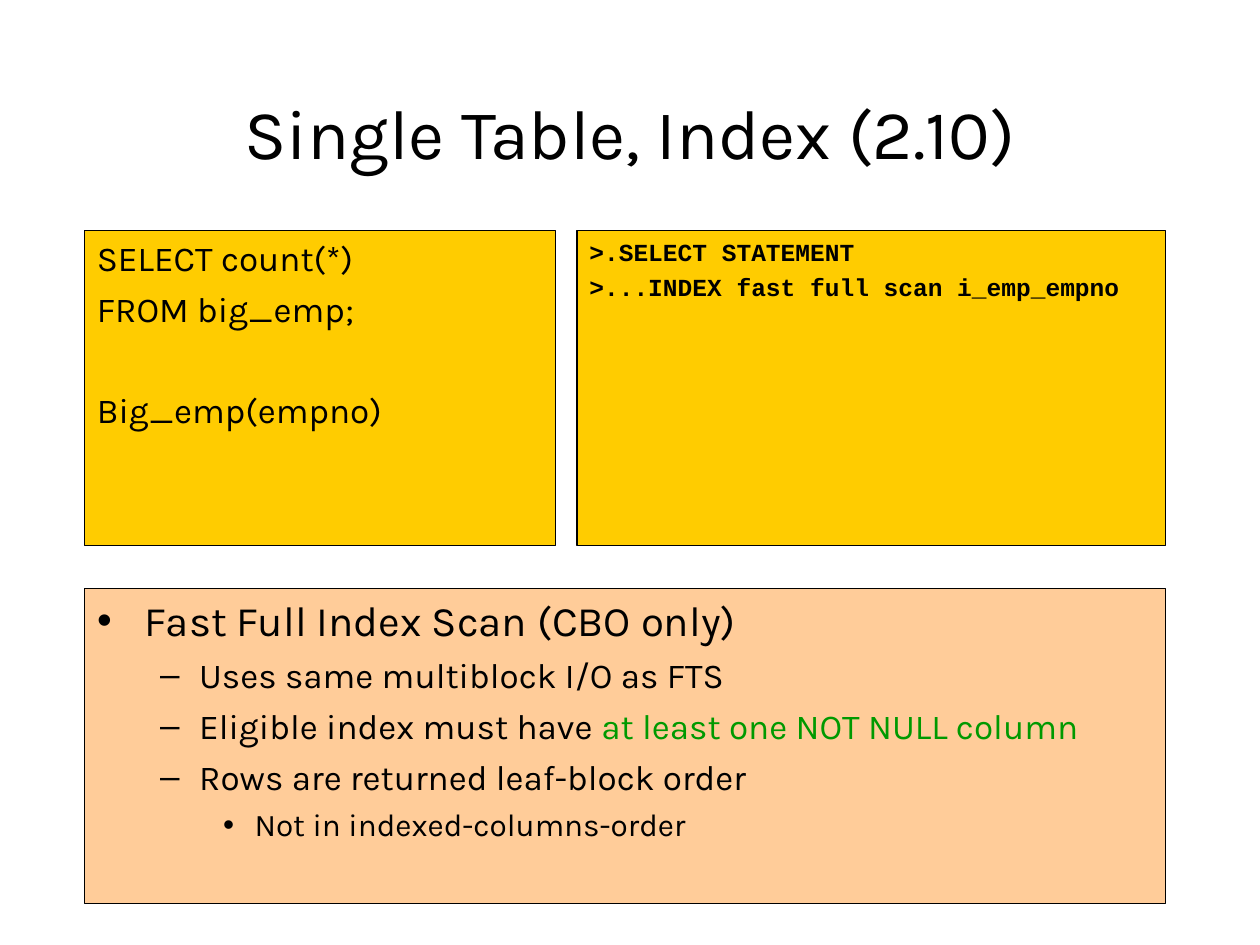
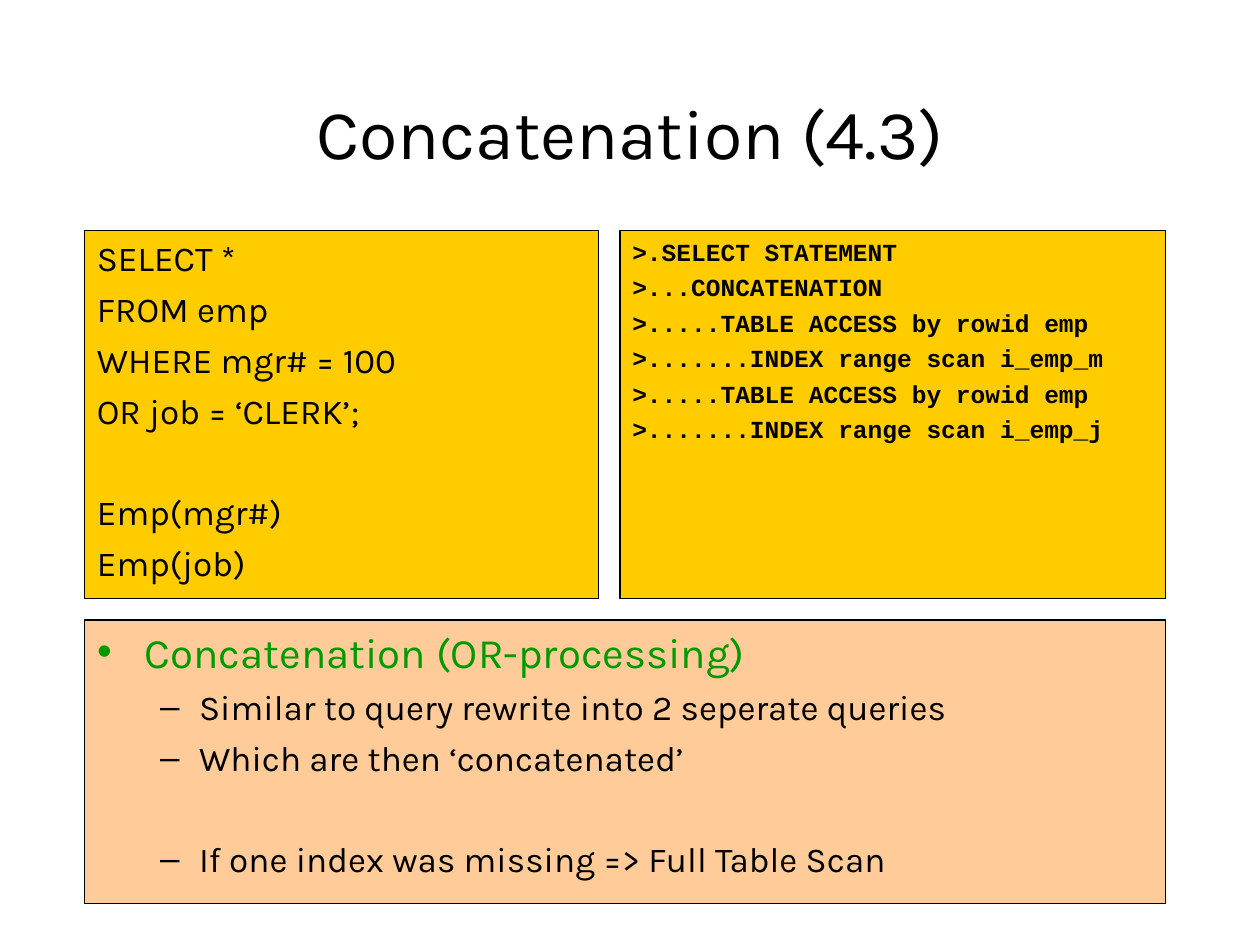
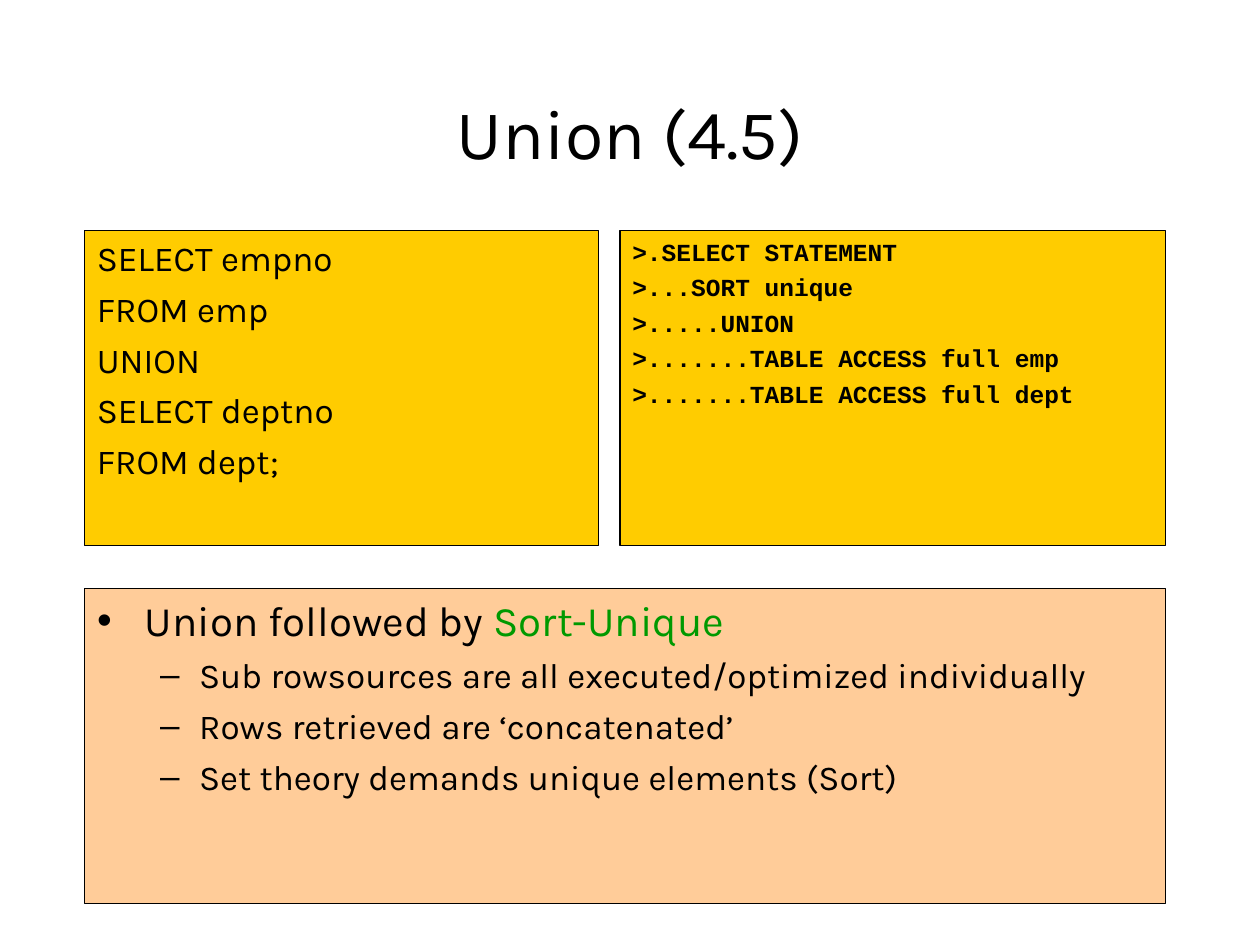
from dataclasses import dataclass

from lxml import etree
from pptx import Presentation
from pptx.dml.color import RGBColor
from pptx.enum.shapes import MSO_SHAPE
from pptx.enum.text import MSO_ANCHOR, MSO_AUTO_SIZE, PP_ALIGN
from pptx.oxml.ns import qn
from pptx.util import Inches, Pt

RECT = MSO_SHAPE.RECTANGLE
TOP, MIDDLE = MSO_ANCHOR.TOP, MSO_ANCHOR.MIDDLE
LEFT, CENTER = PP_ALIGN.LEFT, PP_ALIGN.CENTER
FIXED = MSO_AUTO_SIZE.NONE

EDGE, RIGHT, GAP = 0.67, 9.25, 0.17
HEAD, FOOT = 1.83, 7.17


@dataclass(frozen=True)
class Level:
    """Type size, spacing and indents of one kind of line."""
    size: float
    space: float = 0
    margin: float = 0.38
    hang: float = 0.38
    mark: str = ""
    font: str = "Karla"
    bold: bool = False
    skip: float = 29


@dataclass(frozen=True)
class Theme:
    """Colours and type of the deck."""
    ink: str = "000000"
    accent: str = "009900"
    gold: str = "FFCC00"
    peach: str = "FFCC99"
    title: Level = Level(40, margin=0, hang=0)
    query: Level = Level(20, 5)
    plan: Level = Level(14, 3.5, font="Courier New", bold=True)
    points: tuple = (
        Level(24, 6, mark="•"),
        Level(20, 5, 0.81, 0.31, "–"),
        Level(18, 4.5, 1.25, 0.25, "•"),
    )


def put(item, values):
    """Set each named value on an item."""
    for name, value in values.items():
        setattr(item, name, value)


class Deck:
    """Builds slides in one style."""

    def __init__(self, theme):
        """Start an empty deck."""
        self.theme = theme
        self.show = Presentation()
        put(self.show, {"slide_width": Inches(10), "slide_height": Inches(7.5)})

    def place(self, shape, left, top, right, foot):
        """Move a shape to the given edges."""
        put(shape, {"left": Inches(left), "top": Inches(top),
                    "width": Inches(right - left), "height": Inches(foot - top)})

    def paint(self, shape, fill):
        """Fill and outline a panel."""
        shape.fill.solid()
        shape.fill.fore_color.rgb = RGBColor.from_string(fill)
        shape.line.color.rgb = RGBColor.from_string(self.theme.ink)
        shape.line.width = Pt(0.75)

    def indent(self, para, level, hue):
        """Set the indents and bullet of a paragraph."""
        props = para._p.get_or_add_pPr()
        props.set("marL", str(Inches(level.margin)))
        props.set("indent", str(-Inches(level.hang)))
        if level.mark:
            tint = etree.SubElement(props, qn("a:buClr"))
            etree.SubElement(tint, qn("a:srgbClr")).set("val", hue)
            etree.SubElement(props, qn("a:buChar")).set("char", level.mark)
        else:
            etree.SubElement(props, qn("a:buNone"))

    def text(self, shape, lines, anchor=TOP, align=LEFT):
        """Set (level, depth, words) lines; bars enclose accented words."""
        frame = shape.text_frame
        put(frame, {"word_wrap": True, "auto_size": FIXED,
                    "vertical_anchor": anchor})
        para, extra = None, 0
        for level, depth, words in lines:
            if not words:
                extra += level.skip
                continue
            space = level.space + extra if para else 0
            para = frame.add_paragraph() if para else frame.paragraphs[0]
            hues = (self.theme.ink, self.theme.accent)
            parts = [(part, hues[i % 2])
                     for i, part in enumerate(words.split("|")) if part]
            self.indent(para, level, parts[0][1])
            put(para, {"level": depth, "alignment": align,
                       "space_before": Pt(space), "space_after": Pt(0)})
            for part, hue in parts:
                run = para.add_run()
                run.text = part
                put(run.font, {"size": Pt(level.size), "name": level.font,
                               "bold": level.bold})
                run.font.color.rgb = RGBColor.from_string(hue)
            extra = 0

    def start(self, title):
        """Add a slide with its title."""
        self.slide = self.show.slides.add_slide(self.show.slide_layouts[1])
        shape = self.slide.shapes.title
        self.place(shape, 0.75, 0.67, 9.25, 1.42)
        self.text(shape, [(self.theme.title, 0, title)], MIDDLE, CENTER)

    def points(self, top, points):
        """Fill the body with bulleted points."""
        shape = self.slide.placeholders[1]
        self.place(shape, EDGE, top, RIGHT, FOOT)
        self.paint(shape, self.theme.peach)
        self.text(shape, [(self.theme.points[depth], depth, words)
                          for depth, words in points])

    def code(self, left, right, foot, level, lines):
        """Add a panel of code lines."""
        shape = self.slide.shapes.add_shape(RECT, 0, 0, 0, 0)
        shape.shadow.inherit = False
        self.place(shape, left, HEAD, right, foot)
        self.paint(shape, self.theme.gold)
        self.text(shape, [(level, 0, line) for line in lines])


PAGES = [
    {
        "title": "Single Table, Index (2.10)",
        "split": 4.58, "foot": 4.33, "top": 4.67,
        "query": ["SELECT count(*)", "FROM big_emp;", "", "Big_emp(empno)"],
        "plan": [">.SELECT STATEMENT", ">...INDEX fast full scan i_emp_empno"],
        "points": [
            (0, "Fast Full Index Scan (CBO only)"),
            (1, "Uses same multiblock I/O as FTS"),
            (1, "Eligible index must have |at least one NOT NULL column|"),
            (1, "Rows are returned leaf-block order"),
            (2, "Not in indexed-columns-order"),
        ],
    },
    {
        "title": "Concatenation (4.3)",
        "split": 4.92, "foot": 4.75, "top": 4.92,
        "query": ["SELECT *", "FROM emp", "WHERE mgr# = 100",
                  "OR job = ‘CLERK’;", "", "Emp(mgr#)", "Emp(job)"],
        "plan": [">.SELECT STATEMENT", ">...CONCATENATION",
                 ">.....TABLE ACCESS by rowid emp",
                 ">.......INDEX range scan i_emp_m",
                 ">.....TABLE ACCESS by rowid emp",
                 ">.......INDEX range scan i_emp_j"],
        "points": [
            (0, "|Concatenation (OR-processing)|"),
            (1, "Similar to query rewrite into 2 seperate queries"),
            (1, "Which are then ‘concatenated’"),
            (1, ""),
            (1, "If one index was missing => Full Table Scan"),
        ],
    },
    {
        "title": "Union (4.5)",
        "split": 4.92, "foot": 4.33, "top": 4.67,
        "query": ["SELECT empno", "FROM emp", "UNION", "SELECT deptno",
                  "FROM dept;"],
        "plan": [">.SELECT STATEMENT", ">...SORT unique", ">.....UNION",
                 ">.......TABLE ACCESS full emp",
                 ">.......TABLE ACCESS full dept"],
        "points": [
            (0, "Union followed by |Sort-Unique|"),
            (1, "Sub rowsources are all executed/optimized individually"),
            (1, "Rows retrieved are ‘concatenated’"),
            (1, "Set theory demands unique elements (Sort)"),
        ],
    },
]


def main():
    """Build and save the deck."""
    theme = Theme()
    deck = Deck(theme)
    for page in PAGES:
        split, foot = page["split"], page["foot"]
        deck.start(page["title"])
        deck.points(page["top"], page["points"])
        deck.code(split, RIGHT, foot, theme.plan, page["plan"])
        deck.code(EDGE, split - GAP, foot, theme.query, page["query"])
    deck.show.save("out.pptx")


if __name__ == "__main__":
    main()
